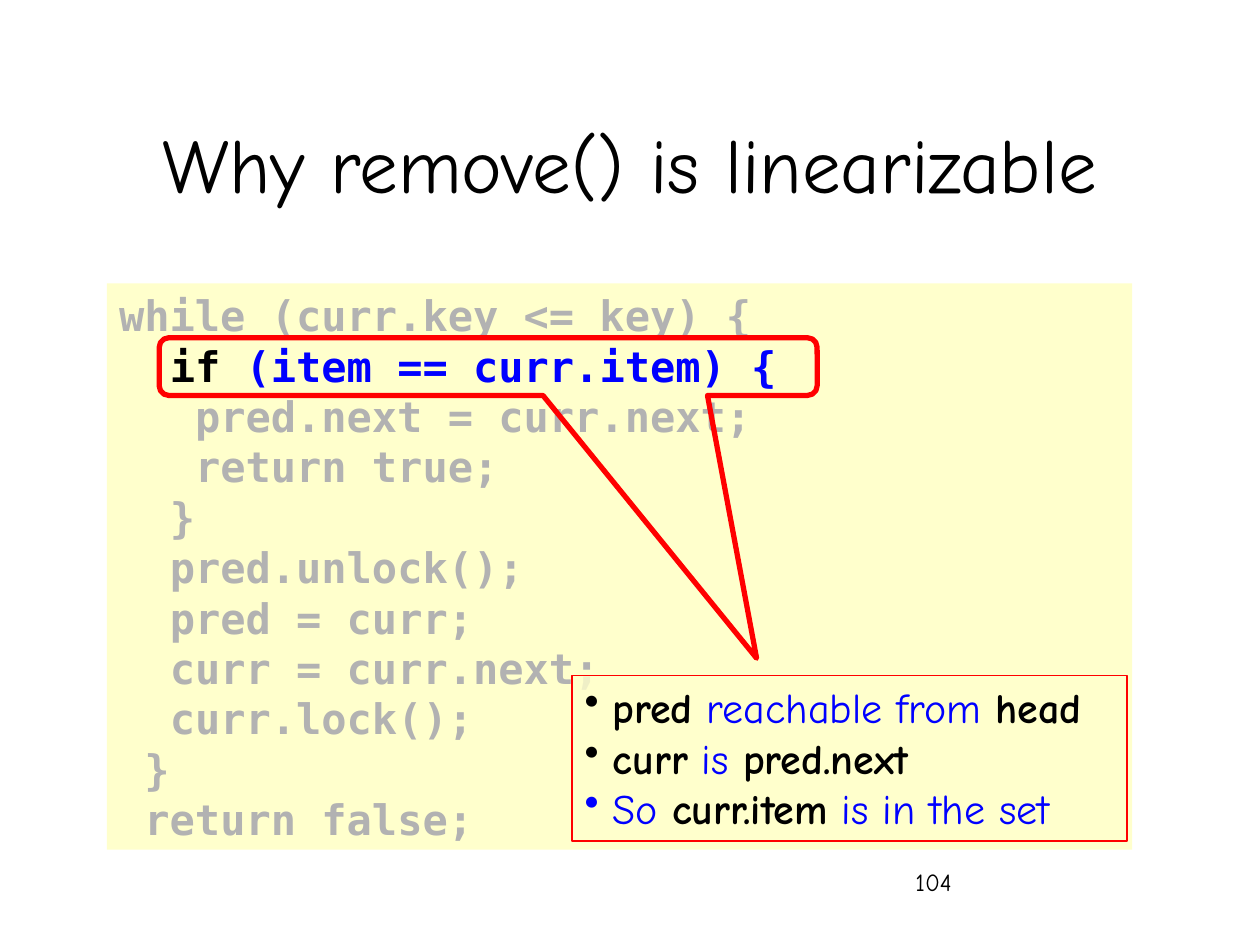
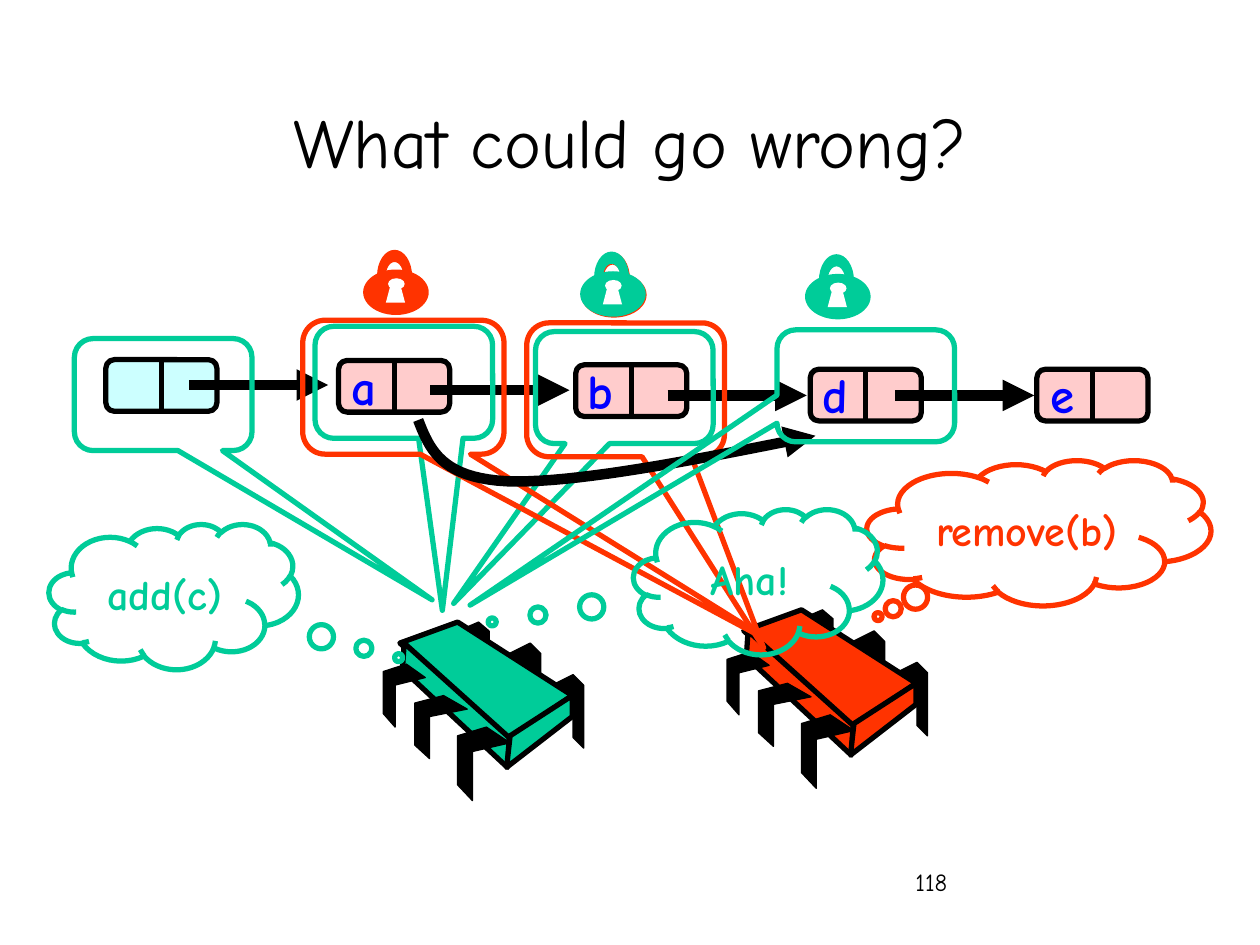
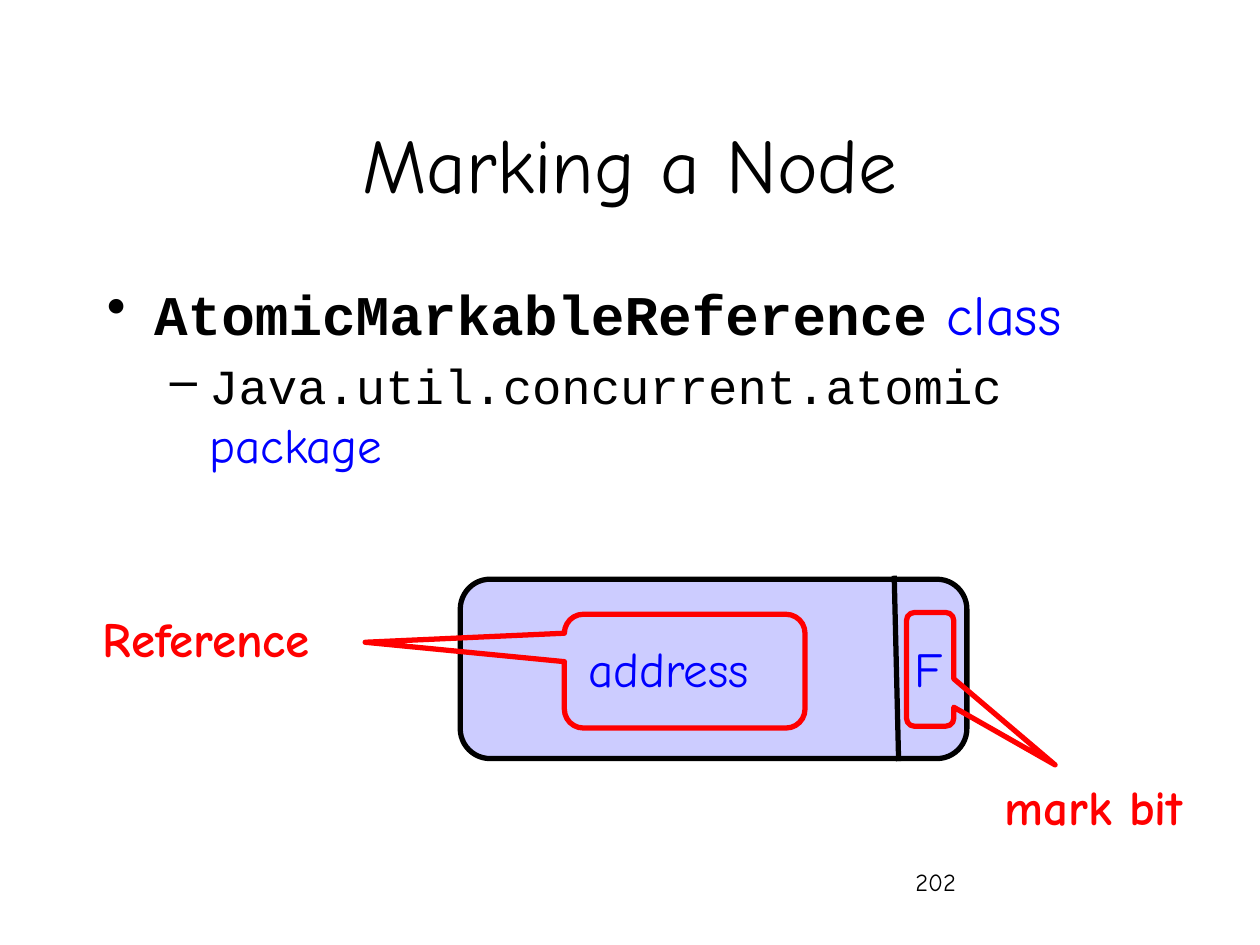
import math

from lxml import etree
from pptx import Presentation
from pptx.dml.color import RGBColor
from pptx.enum.shapes import MSO_CONNECTOR, MSO_SHAPE
from pptx.enum.text import MSO_ANCHOR, PP_ALIGN
from pptx.oxml.ns import qn
from pptx.util import Pt

COLOURS = {
    "black": "000000", "grey": "B2B2B2", "blue": "0000FF", "red": "FF0000",
    "white": "FFFFFF", "cream": "FFFFCC", "lilac": "CCCCFF", "cyan": "CCFFFF",
    "pink": "FFCCCC", "green": "00CC99", "orange": "FF3300",
}
HAND, COURIER, MONO = "Comic Neue", "Courier New", "DejaVu Sans Mono"
RECT, ROUND, OVAL = MSO_SHAPE.RECTANGLE, MSO_SHAPE.ROUNDED_RECTANGLE, MSO_SHAPE.OVAL
CALLOUT, CLOUD = MSO_SHAPE.ROUNDED_RECTANGULAR_CALLOUT, MSO_SHAPE.CLOUD_CALLOUT
STRAIGHT = MSO_CONNECTOR.STRAIGHT
LEFT, CENTER, RIGHT = PP_ALIGN.LEFT, PP_ALIGN.CENTER, PP_ALIGN.RIGHT
TOP, MIDDLE = MSO_ANCHOR.TOP, MSO_ANCHOR.MIDDLE
CORNER = 0.167
CODE_SPACE = 14.45  # width of one 24 pt code character
NODE_W, NODE_H = 63.5, 29.5

# Outlines of one chip, measured from its top left corner
BACK_LEG = [(0, 6), (12, 0), (18, 6), (18, 42), (12, 36), (12, 12), (0, 18)]
FRONT_LEG = [(16.5, 0), (30, 9), (8.5, 14), (8.5, 42), (0, 33), (0, 5)]
SHORT = 6 / 7
BACK_LEGS = [(96.5, 30, 1, 1), (72, 12, 1, 1), (42.5, 0, 1, SHORT)]
FRONT_LEGS = [(42.5, 60, 1, 1), (18, 42, 1, SHORT), (0, 24, 0.8, SHORT)]
CHIP_FACES = [
    [(42.5, 0), (108, 42), (71.5, 67), (9.5, 12)],
    [(12, 12), (72, 66), (71, 83), (11, 27)],
    [(108, 42), (108, 54), (70.5, 83), (72.5, 65)],
]
KEYHOLE = [(13, 19), (15.5, 9.5), (21.5, 9.5), (24, 19)]


def rgb(name):
    return RGBColor.from_string(COLOURS[name])


def points(*lengths):
    return [Pt(length) for length in lengths]


# Text

def set_font(font, colour=None, bold=None, name=None):
    if colour:
        font.color.rgb = rgb(colour)
    if bold is not None:
        font.bold = bold
    if name:
        font.name = name


def add_para(frame, spans, size, align=LEFT, indent=0, bullet=None, hang=0, before=0):
    """Each span is (text, colour, bold, font name)."""
    first = frame.paragraphs[0]
    para = frame.add_paragraph() if first.runs else first
    para.alignment = align
    para.font.size = Pt(size)
    if before:
        para.space_before = Pt(before)
    shared = [values[0] if len(set(values)) == 1 else None
              for values in list(zip(*spans))[1:]]
    set_font(para.font, *shared)
    for text, *style in spans:
        span = para.add_run()
        span.text = text
        set_font(span.font, *[own if common is None else None
                              for own, common in zip(style, shared)])
    props = para._p.get_or_add_pPr()
    if indent:
        props.set("marL", str(Pt(indent)))
    if bullet:
        props.set("indent", str(Pt(-hang)))
        mark = etree.Element(qn("a:buChar"), char=bullet)
        props.insert_element_before(mark, "a:tabLst", "a:defRPr", "a:extLst")


def add_textbox(page, place, anchor=TOP):
    frame = page.shapes.add_textbox(*points(*place)).text_frame
    frame.word_wrap = True
    frame.vertical_anchor = anchor
    return frame


def add_label(page, place, text, size, colour, bold=False, align=CENTER, anchor=TOP):
    add_para(add_textbox(page, place, anchor), [(text, colour, bold, HAND)], size, align)


# Shapes and lines

def paint(shape, fill=None, line=None, width=3.0):
    shape.shadow.inherit = False
    if fill:
        shape.fill.solid()
        shape.fill.fore_color.rgb = rgb(fill)
    else:
        shape.fill.background()
    if line:
        shape.line.color.rgb = rgb(line)
        shape.line.width = Pt(width)
    else:
        shape.line.fill.background()


def add_box(parent, kind, place, fill=None, line=None, width=3.0, adjust=()):
    box = parent.shapes.add_shape(kind, *points(*place))
    for index, value in enumerate(adjust):
        box.adjustments[index] = value
    paint(box, fill, line, width)
    return box


def add_callout(page, place, colour, tip):
    add_box(page, CALLOUT, place, line=colour, adjust=(*tip, CORNER))


def add_cloud(page, place, colour, tip, text):
    cloud = add_box(page, CLOUD, place, line=colour, adjust=tip)
    cloud.text_frame.vertical_anchor = MIDDLE
    add_para(cloud.text_frame, [(text, colour, True, HAND)], 24, CENTER)


def add_outline(parent, corners, origin=(0, 0), stretch=(1, 1), close=True, **look):
    placed = [points(origin[0] + x * stretch[0], origin[1] + y * stretch[1])
              for x, y in corners]
    builder = parent.shapes.build_freeform(*placed[0])
    builder.add_line_segments(placed[1:], close=close)
    outline = builder.convert_to_shape()
    paint(outline, **look)
    return outline


def add_arrowhead(shape):
    line = shape._element.spPr.find(qn("a:ln"))
    etree.SubElement(line, qn("a:tailEnd"), type="triangle")


def add_line(page, start, end, width=3.0):
    line = page.shapes.add_connector(STRAIGHT, *points(*start, *end))
    line.line.color.rgb = rgb("black")
    line.line.width = Pt(width)
    etree.SubElement(line._element.spPr, qn("a:effectLst"))
    return line


def add_arrow(page, x, y):
    add_arrowhead(add_line(page, (x, y), (x + 79.5, y), 6))


def add_swoosh(page, start, curves):
    """Thick arrow along a chain of cubic curves."""
    steps = 20
    track = [start]
    for a, b, c in curves:
        origin = track[-1]
        for step in range(1, steps + 1):
            t = step / steps
            u = 1 - t
            track.append(tuple(
                u**3 * p + 3 * u * u * t * q + 3 * u * t * t * r + t**3 * s
                for p, q, r, s in zip(origin, a, b, c)))
    add_arrowhead(add_outline(page, track, close=False, line="black", width=6))


# Parts of the list picture

def add_node(page, x, y, fill, letter=None):
    box = add_box(page, ROUND, (x, y, NODE_W, NODE_H), fill, "black", adjust=(CORNER,))
    middle = x + NODE_W / 2
    divider = add_line(page, (middle, y), (middle, y + NODE_H))
    divider.begin_connect(box, 0)
    divider.end_connect(box, 2)
    if letter:
        add_label(page, (x - 2, y - 6, 30.5, 41), letter, 28, "blue", True, RIGHT)


def add_chip(page, x, y, colour):
    chip = page.shapes.add_group_shape()

    def add_legs(leg, spots):
        for dx, dy, *stretch in spots:
            add_outline(chip, leg, (x + dx, y + dy), stretch,
                        fill="black", line="black", width=0.75)

    add_legs(BACK_LEG, BACK_LEGS)
    for face in CHIP_FACES:
        add_outline(chip, face, (x, y), fill=colour, line="black")
    add_legs(FRONT_LEG, FRONT_LEGS)


def add_lock(page, x, y, colour):
    lock = page.shapes.add_group_shape()
    add_box(lock, OVAL, (x, y, 37.5, 26), colour)
    add_box(lock, OVAL, (x + 14.25, y + 5, 9.5, 6.5), "white")
    add_outline(lock, KEYHOLE, (x, y), fill="white")
    angles = [math.pi * step / 16 for step in range(17)]
    outer = [(-10 * math.cos(a), -15 * math.sin(a)) for a in angles]
    inner = [(5 * math.cos(a), -8 * math.sin(a)) for a in angles]
    add_outline(lock, outer + inner, (x + 18, y + 3.75), fill=colour)


# Slides

def add_page(deck, title, number, title_top=48, title_size=44):
    page = deck.slides.add_slide(deck.slide_layouts[6])
    add_label(page, (516, 492, 150, 36), number, 14, "black", align=LEFT)
    add_label(page, (54, title_top, 612, 90), title, title_size, "black", anchor=MIDDLE)
    return page


def build_linearizable(deck):
    page = add_page(deck, "Why remove() is linearizable", "104")

    # Code, as (depth in characters, text)
    code = add_box(page, RECT, (61, 162, 586, 323.5), "cream").text_frame
    code.vertical_anchor = TOP
    lines = [
        (0, "while (curr.key <= key) {"), (2, "if (item == curr.item) {"),
        (3, "pred.next = curr.next;"), (3, "return true;"), (2, "}"),
        (2, "pred.unlock();"), (2, "pred = curr;"), (2, "curr = curr.next;"),
        (2, "curr.lock();"), (1, "}"), (1, "return false;"),
    ]
    for depth, text in lines:
        spans = [(text, "grey", True, MONO)]
        if text.startswith("if"):
            spans = [("if", "black", True, MONO), (text[2:], "blue", True, MONO)]
        add_para(code, spans, 24, indent=depth * CODE_SPACE)
    add_callout(page, (91, 193, 376, 33), "red", (0.408, 5.051))

    # Reasons
    reasons = add_box(page, RECT, (327, 386, 317, 94.5), "cream", "red", 1)
    tint = reasons._element.spPr.find(qn("a:solidFill"))[0]
    etree.SubElement(tint, qn("a:alpha"), val="80000")
    frame = reasons.text_frame
    frame.vertical_anchor = TOP

    def term(text):
        return text, "black", True, HAND

    def plain(text):
        return text, "blue", False, HAND

    for spans in (
        [term("pred"), plain(" reachable from "), term("head")],
        [term("curr"), plain(" is "), term("pred.next")],
        [plain("So "), term("curr.item"), plain(" is in the set")],
    ):
        add_para(frame, spans, 24, indent=16, bullet="•", hang=16)


def build_wrong(deck):
    page = add_page(deck, "What could go wrong?", "118", 35.5, 40)

    # Linked list
    add_node(page, 60.5, 205.5, "cyan")
    for x, y, letter in ((193.5, 206, "a"), (329, 208.5, "b"),
                         (463, 211, "d"), (592.5, 211, "e")):
        add_node(page, x, y, "pink", letter)
    for x, y in ((108, 220), (246, 223), (381.5, 226), (511.5, 226)):
        add_arrow(page, x, y)

    def add_green_callout(x, y, tip):
        add_callout(page, (x, y, 101.5, 64), "green", tip)

    # Adding thread
    add_chip(page, 219, 355.5, "green")
    add_green_callout(42.5, 193.5, (1.514, 1.833))
    add_green_callout(180, 186.5, (0.217, 2.036))
    add_green_callout(306, 189.5, (-0.961, 1.927))
    add_cloud(page, (28, 299.5, 142.5, 83), "green", (0.902, 0.42), "add(c)")

    # Removing thread
    add_lock(page, 207.5, 154, "orange")
    add_lock(page, 332, 155.5, "orange")
    add_chip(page, 415.5, 348.5, "orange")
    add_cloud(page, (495.5, 263, 196.5, 83), "orange", (-0.468, 0.577), "remove(b)")
    add_callout(page, (301, 184.5, 113, 76.5), "orange", (0.698, 1.927))
    add_callout(page, (173, 183, 115, 76.5), "orange", (1.856, 1.927))
    add_swoosh(page, (239, 240), [
        ((245.5, 256.5), (252, 273), (289.5, 275)),
        ((327.5, 276.5), (396.5, 263), (466, 249)),
    ])

    # Adding thread takes its locks
    add_green_callout(444, 188.5, (-2.228, 1.958))
    add_cloud(page, (362, 291, 142.5, 83), "green", (-1.067, 0.276), "Aha!")
    add_lock(page, 331.5, 155, "green")
    add_lock(page, 460, 156.5, "green")


def build_marking(deck):
    page = add_page(deck, "Marking a Node", "202")

    # Bullets
    body = add_textbox(page, (54, 156, 612, 324))
    add_para(body, [("AtomicMarkableReference", "black", True, COURIER),
                    (" class", "blue", False, HAND)],
             32, indent=27, bullet="•", hang=27)
    add_para(body, [("Java.util.concurrent.atomic", "black", False, COURIER),
                    (" package", "blue", False, HAND)],
             28, indent=58.5, bullet="–", hang=22.5, before=5.5)

    # Node with address and mark
    add_box(page, ROUND, (263, 331, 289.5, 102.5), "lilac", "black", adjust=(CORNER,))
    add_line(page, (511, 329), (513.5, 435))
    add_label(page, (298, 361.5, 168, 41), "address", 28, "blue")
    add_label(page, (446.5, 361.5, 168, 41), "F", 28, "blue")

    # Named parts
    add_callout(page, (518, 350, 27, 65), "red", (2.643, 0.84))
    add_label(page, (553, 440, 144, 41), "mark bit", 28, "red", True)
    add_callout(page, (322.5, 351, 137.5, 65), "red", (-1.328, -0.254))
    add_label(page, (26, 344, 183.5, 41), "Reference", 28, "red", True)


def main():
    deck = Presentation()
    deck.slide_width, deck.slide_height = points(720, 540)
    build_linearizable(deck)
    build_wrong(deck)
    build_marking(deck)
    deck.save("out.pptx")


if __name__ == "__main__":
    main()
